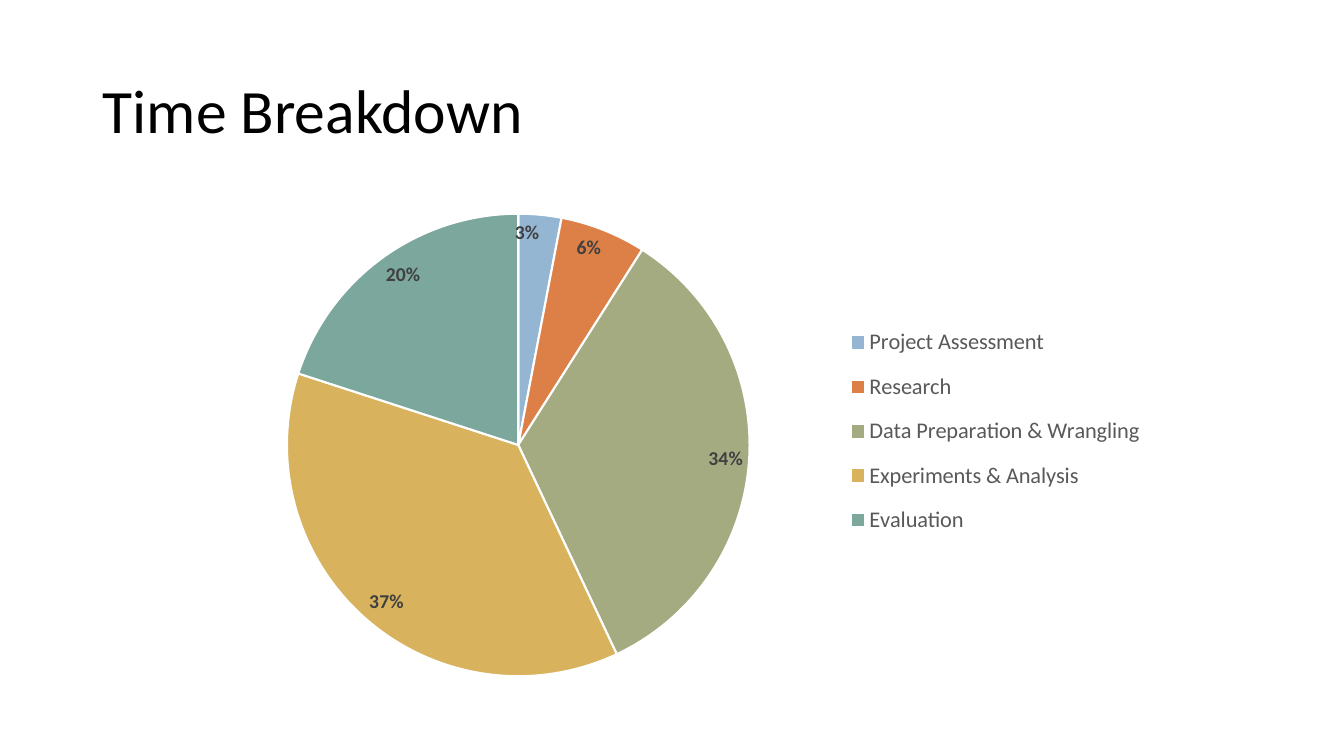
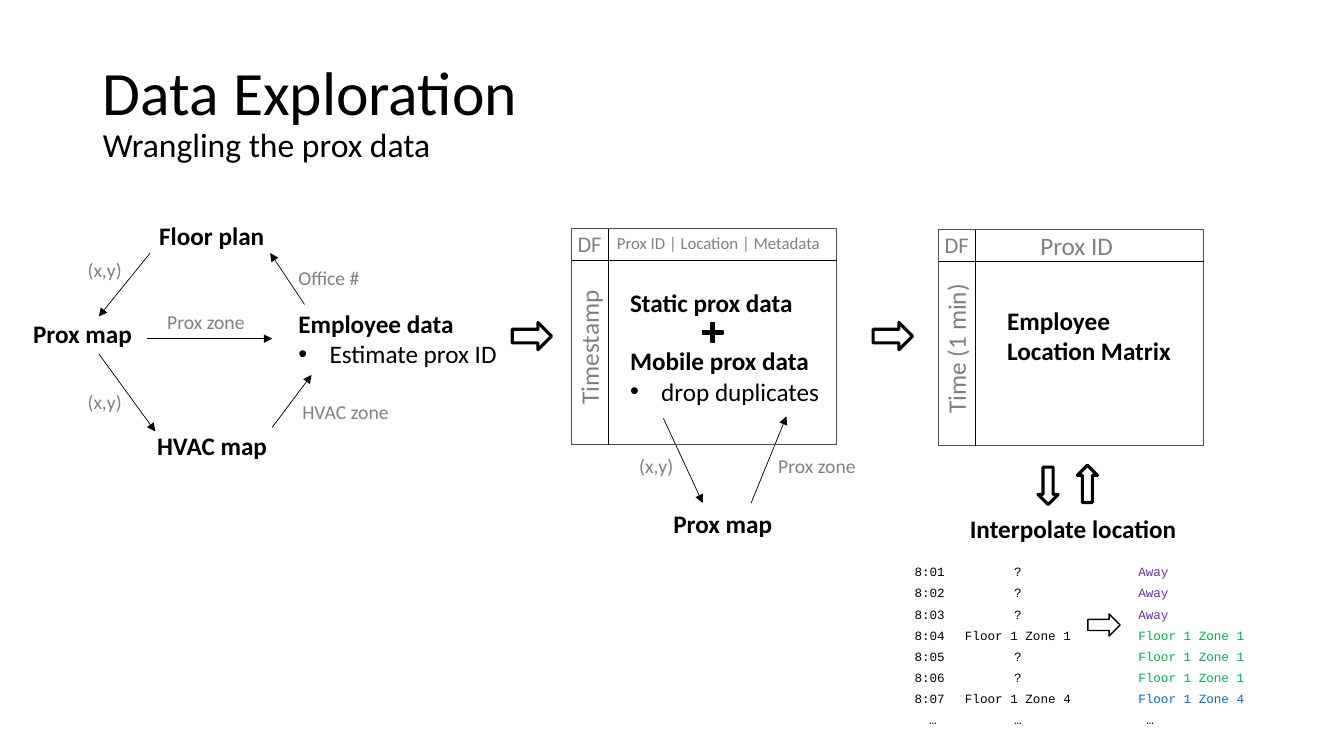
import dataclasses

import lxml.etree
import pptx
import pptx.chart.data
import pptx.dml.color
import pptx.enum.chart
import pptx.enum.shapes
import pptx.enum.text
import pptx.oxml.ns
import pptx.util

Inches = pptx.util.Inches
Pt = pptx.util.Pt
qn = pptx.oxml.ns.qn
Align = pptx.enum.text.PP_ALIGN
Anchor = pptx.enum.text.MSO_ANCHOR
Shape = pptx.enum.shapes.MSO_SHAPE


@dataclasses.dataclass(frozen=True)
class Theme:
    font: str = "Calibri"
    mono: str = "Courier New"
    # Colours
    ink: str = "000000"
    muted: str = "808080"
    frame: str = "41505C"
    paper: str = "FFFFFF"
    legend: str = "595959"
    label: str = "404040"
    away: str = "7030A0"
    zone_1: str = "00B050"
    zone_4: str = "0070C0"
    slices: tuple = ("94B6D2", "DD8047", "A5AB81", "D8B25C", "7BA79D")
    # Type sizes
    title: int = 44
    subtitle: int = 24
    body: int = 18
    medium: int = 16
    note: int = 14
    small: int = 12
    tiny: int = 9
    # Line widths
    hairline: float = 0.5
    thin: float = 1
    slice_edge: float = 1.5
    thick: float = 2.25


def rgb(colour):
    return pptx.dml.color.RGBColor.from_string(colour)


def manual_layout(x, y, width, height, inner=False):
    layout = lxml.etree.Element(qn("c:layout"))
    manual = lxml.etree.SubElement(layout, qn("c:manualLayout"))
    settings = [("layoutTarget", "inner")] if inner else []
    settings += [("xMode", "edge"), ("yMode", "edge"),
                 ("x", x), ("y", y), ("w", width), ("h", height)]
    for name, value in settings:
        lxml.etree.SubElement(manual, qn("c:" + name)).set("val", str(value))
    return layout


class SlideBuilder:
    def __init__(self, deck, theme):
        self.deck = deck
        self.theme = theme
        self.page = None

    def style(self, font, size, colour=None, bold=False, name=None):
        font.name = name or self.theme.font
        font.size = Pt(size)
        font.bold = bold
        font.color.rgb = rgb(colour or self.theme.ink)

    def new_page(self, title, subtitle=None):
        self.page = self.deck.slides.add_slide(self.deck.slide_layouts[5])
        box = self.page.shapes.title
        box.left, box.top = Inches(0.92), Inches(0.4)
        box.width, box.height = Inches(11.5), Inches(1.45)
        frame = box.text_frame
        frame.text = f"{title}\v{subtitle}" if subtitle else title
        frame.auto_size = pptx.enum.text.MSO_AUTO_SIZE.NONE
        frame.vertical_anchor = Anchor.MIDDLE
        para = frame.paragraphs[0]
        para.alignment = Align.LEFT
        para.line_spacing = 0.9
        for span, size in zip(para.runs, (self.theme.title, self.theme.subtitle)):
            self.style(span.font, size)

    def text(self, words, left, top, width, height, size, colour=None,
             bold=False, bullet=None, wrap=False, rotation=0):
        box = self.page.shapes.add_textbox(
            Inches(left), Inches(top), Inches(width), Inches(height))
        box.rotation = rotation
        frame = box.text_frame
        frame.word_wrap = wrap
        frame.text = words
        self.style(frame.paragraphs[0].runs[0].font, size, colour, bold)
        if bullet:
            para = frame.add_paragraph()
            para.text = bullet
            self.style(para.runs[0].font, size, colour)
            properties = para._p.get_or_add_pPr()
            properties.set("marL", str(Inches(0.31)))
            properties.set("indent", str(-Inches(0.31)))
            lxml.etree.SubElement(properties, qn("a:buFont")).set("typeface", "Arial")
            lxml.etree.SubElement(properties, qn("a:buChar")).set("char", "•")

    def heading(self, words, left, top, width, height=0.4, **options):
        self.text(words, left, top, width, height, self.theme.body,
                  bold=True, **options)

    def note(self, words, left, top, width):
        self.text(words, left, top, width, 0.34, self.theme.note, self.theme.muted)

    def shape(self, kind, left, top, width, height, weight, line=None,
              fill=None, rotation=0):
        shape = self.page.shapes.add_shape(
            kind, Inches(left), Inches(top), Inches(width), Inches(height))
        shape.shadow.inherit = False
        shape.rotation = rotation
        if fill:
            shape.fill.solid()
            shape.fill.fore_color.rgb = rgb(fill)
        else:
            shape.fill.background()
        shape.line.color.rgb = rgb(line or self.theme.ink)
        shape.line.width = Pt(weight)
        return shape

    def line(self, start, end, arrow=False):
        connector = self.page.shapes.add_connector(
            pptx.enum.shapes.MSO_CONNECTOR.STRAIGHT,
            *(Inches(value) for value in (*start, *end)))
        connector.line.color.rgb = rgb(self.theme.ink)
        connector.line.width = Pt(self.theme.hairline)
        properties = connector._element.spPr
        if arrow:
            outline = properties.find(qn("a:ln"))
            lxml.etree.SubElement(outline, qn("a:tailEnd")).set("type", "triangle")
        lxml.etree.SubElement(properties, qn("a:effectLst"))

    def data_frame(self, left, top, side, side_width):
        """Box with a header row, a side column and a DF corner."""
        theme = self.theme
        width, height, column, row = 2.63, 2.14, 0.36, 0.31
        self.shape(Shape.RECTANGLE, left, top, width, height, theme.thin, theme.frame)
        self.line((left + column, top + height), (left + column, top))
        self.line((left, top + row), (left + width, top + row))
        self.text("DF", left - 0.04, top - 0.04, 0.44, 0.37, theme.medium, theme.muted)
        self.text(side, left + 0.17 - side_width / 2, top + 0.97, side_width, 0.4,
                  theme.body, theme.muted, rotation=270)

    def pie(self, shares, left, top, width, height):
        theme = self.theme
        data = pptx.chart.data.CategoryChartData()
        data.categories = list(shares)
        data.add_series("Series 1", list(shares.values()))
        chart = self.page.shapes.add_chart(
            pptx.enum.chart.XL_CHART_TYPE.PIE, Inches(left), Inches(top),
            Inches(width), Inches(height), data).chart
        chart.has_title = False
        self.style(chart.font, 10)
        # Slices
        plot = chart.plots[0]
        plot.vary_by_categories = True
        for index, colour in enumerate(theme.slices):
            piece = plot.series[0].points[index].format
            piece.fill.solid()
            piece.fill.fore_color.rgb = rgb(colour)
            piece.line.color.rgb = rgb(theme.paper)
            piece.line.width = Pt(theme.slice_edge)
        # Percentages
        plot.has_data_labels = True
        labels = plot.data_labels
        labels.show_percentage = True
        labels.show_value = False
        labels.number_format = "0%"
        labels.number_format_is_linked = False
        labels.position = pptx.enum.chart.XL_LABEL_POSITION.INSIDE_END
        self.style(labels.font, theme.note, theme.label, bold=True)
        # Legend
        chart.has_legend = True
        legend = chart.legend
        legend.position = pptx.enum.chart.XL_LEGEND_POSITION.RIGHT
        legend.include_in_layout = False
        self.style(legend.font, theme.medium, theme.legend)
        # Manual placement of the legend and the pie
        legend._element.find(qn("c:legendPos")).addnext(
            manual_layout(0.68, 0.23, 0.31, 0.44))
        area = chart._chartSpace.chart.plotArea
        for layout in area.findall(qn("c:layout")):
            area.remove(layout)
        area.insert(0, manual_layout(0.1, 0.05, 0.48, 0.85, inner=True))

    def log_table(self, rows, left, top, widths, row_height):
        theme = self.theme
        table = self.page.shapes.add_table(
            len(rows), len(widths), Inches(left), Inches(top),
            Inches(sum(widths)), Inches(row_height * len(rows))).table
        table.first_row = table.horz_banding = False
        for column, width in zip(table.columns, widths):
            column.width = Inches(width)
        aligns = (Align.RIGHT, Align.CENTER, Align.LEFT, Align.LEFT)
        for row, (*words, colour) in zip(table.rows, rows):
            row.height = Inches(row_height)
            for index, (cell, word) in enumerate(zip(row.cells, words)):
                cell.fill.background()
                cell.vertical_anchor = Anchor.BOTTOM
                cell.margin_left = cell.margin_right = cell.margin_top = Inches(0.01)
                cell.margin_bottom = 0
                if word == "…" and index == 0:
                    cell.margin_right = Inches(0.09)
                if word == "…" and index == 3:
                    cell.margin_left = Inches(0.09)
                cell.text = word
                para = cell.text_frame.paragraphs[0]
                para.alignment = aligns[index]
                for span in para.runs:
                    self.style(span.font, theme.tiny, colour if index == 3 else None,
                               name=theme.mono)
                if not word:
                    # Keeps an empty cell from stretching its row
                    end = lxml.etree.SubElement(para._p, qn("a:endParaRPr"))
                    end.set("sz", str(theme.tiny * 100))


def time_breakdown(slide):
    slide.new_page("Time Breakdown")
    slide.pie({"Project Assessment": 3, "Research": 6,
               "Data Preparation & Wrangling": 34,
               "Experiments & Analysis": 37, "Evaluation": 20},
              1.89, 1.85, 9.56, 5.4)


def data_exploration(slide):
    theme = slide.theme
    slide.new_page("Data Exploration", "Wrangling the prox data")

    # Source maps and the links between them
    slide.heading("Employee data", 2.86, 3.01, 2.19, 0.71, bullet="Estimate prox ID")
    for words, left, top, width in (
            ("Floor plan", 1.48, 2.14, 1.25), ("Prox map", 0.23, 3.11, 1.19),
            ("HVAC map", 1.46, 4.22, 1.3), ("Prox map", 6.58, 4.99, 1.19),
            ("Interpolate location", 9.52, 5.04, 2.32)):
        slide.heading(words, left, top, width)
    for words, left, top, width in (
            ("Office #", 2.86, 2.59, 0.82), ("(x,y)", 0.77, 3.82, 0.55),
            ("(x,y)", 0.77, 2.51, 0.55), ("HVAC zone", 2.9, 3.92, 1.07),
            ("Prox zone", 1.56, 3.03, 0.98), ("(x,y)", 6.24, 4.45, 0.55),
            ("Prox zone", 7.62, 4.45, 0.98)):
        slide.note(words, left, top, width)
    for start, end in (
            ((3.02, 3.02), (2.68, 2.51)), ((1.49, 2.51), (0.98, 3.14)),
            ((0.98, 3.51), (1.54, 4.28)), ((2.7, 4.24), (3.09, 3.72)),
            ((1.46, 3.36), (2.7, 3.36)), ((6.58, 4.15), (6.97, 4.99)),
            ((7.45, 4.99), (7.8, 4.13))):
        slide.line(start, end, arrow=True)

    # Prox data frame
    slide.data_frame(5.67, 2.27, "Timestamp", 1.34)
    slide.text("Prox ID | Location | Metadata", 6.02, 2.26, 2.24, 0.3,
               theme.small, theme.muted)
    slide.heading("Static prox data", 6.15, 2.8, 1.85, wrap=True)
    slide.heading("Mobile prox data", 6.15, 3.38, 2.18, 0.71,
                  bullet="drop duplicates", wrap=True)
    plus = slide.shape(Shape.CROSS, 6.97, 3.2, 0.2, 0.2, theme.thin, fill=theme.ink)
    plus.adjustments[0] = 0.42

    # Location matrix frame
    slide.data_frame(9.31, 2.28, "Time (1 min)", 1.5)
    slide.text("Prox ID", 10.22, 2.24, 0.93, 0.4, theme.body, theme.muted)
    slide.heading("Employee Location Matrix", 9.89, 2.98, 1.85, 0.71, wrap=True)

    # Interpolation log
    log = [("8:01", "?", "", "Away", theme.away),
           ("8:02", "?", "", "Away", theme.away),
           ("8:03", "?", "", "Away", theme.away),
           ("8:04", "Floor 1 Zone 1", "", "Floor 1 Zone 1", theme.zone_1),
           ("8:05", "?", "", "Floor 1 Zone 1", theme.zone_1),
           ("8:06", "?", "", "Floor 1 Zone 1", theme.zone_1),
           ("8:07", "Floor 1 Zone 4", "", "Floor 1 Zone 4", theme.zone_4),
           ("…", "…", "", "…", theme.ink)]
    slide.log_table(log, 8.95, 5.55, (0.43, 1.43, 0.47, 1.28), 0.21)

    # Block arrows between the steps
    for left, top, width, height, weight, rotation in (
            (5.08, 3.2, 0.39, 0.27, theme.thick, 0),
            (8.66, 3.2, 0.39, 0.27, theme.thick, 0),
            (10.21, 4.72, 0.37, 0.2, theme.thick, 90),
            (10.6, 4.7, 0.37, 0.2, theme.thick, 270),
            (10.79, 6.09, 0.32, 0.22, theme.thin, 0)):
        slide.shape(Shape.RIGHT_ARROW, left, top, width, height, weight,
                    rotation=rotation)


def main():
    deck = pptx.Presentation()
    deck.slide_width, deck.slide_height = Inches(13.33), Inches(7.5)
    slide = SlideBuilder(deck, Theme())
    time_breakdown(slide)
    data_exploration(slide)
    deck.save("out.pptx")


if __name__ == "__main__":
    main()
